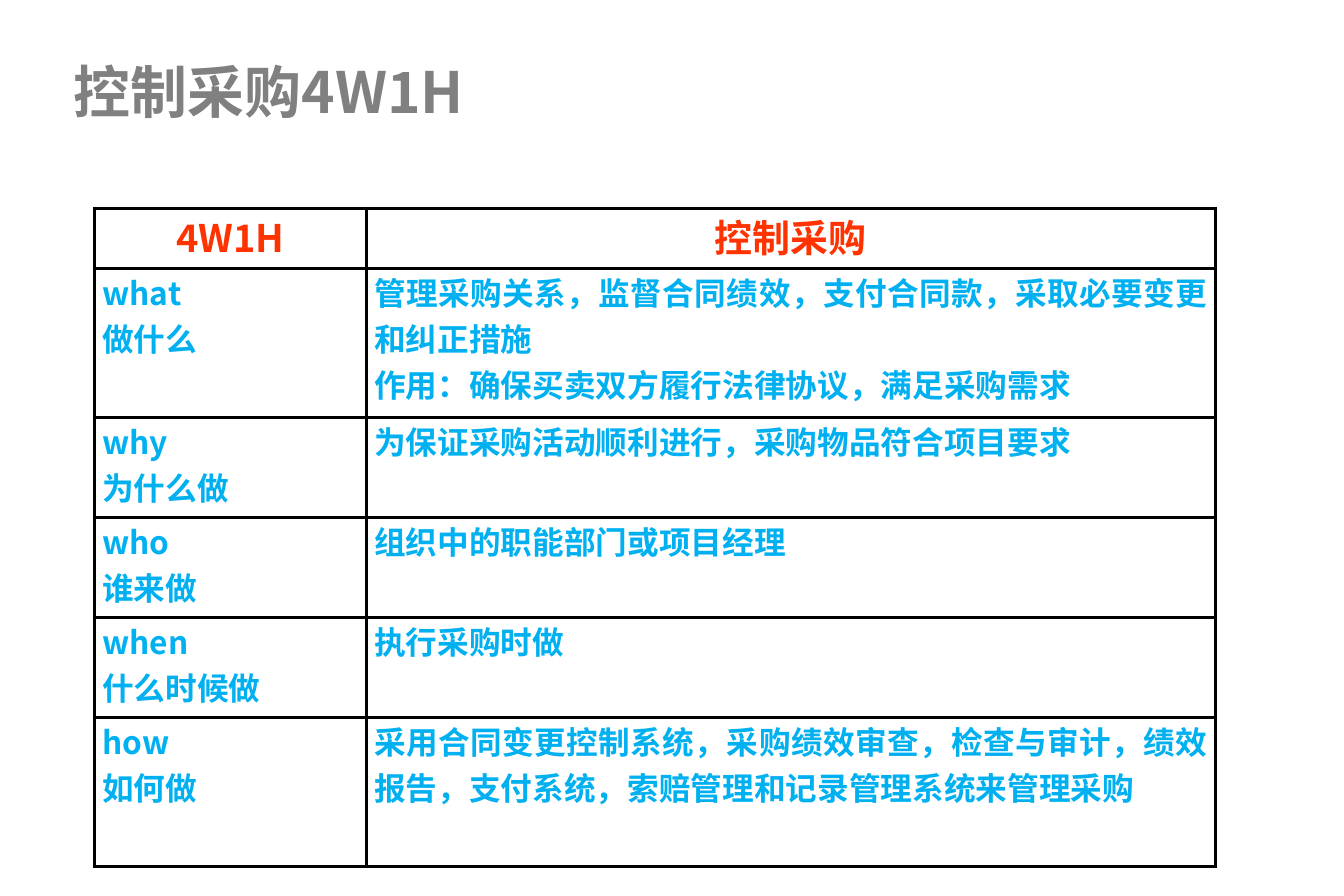
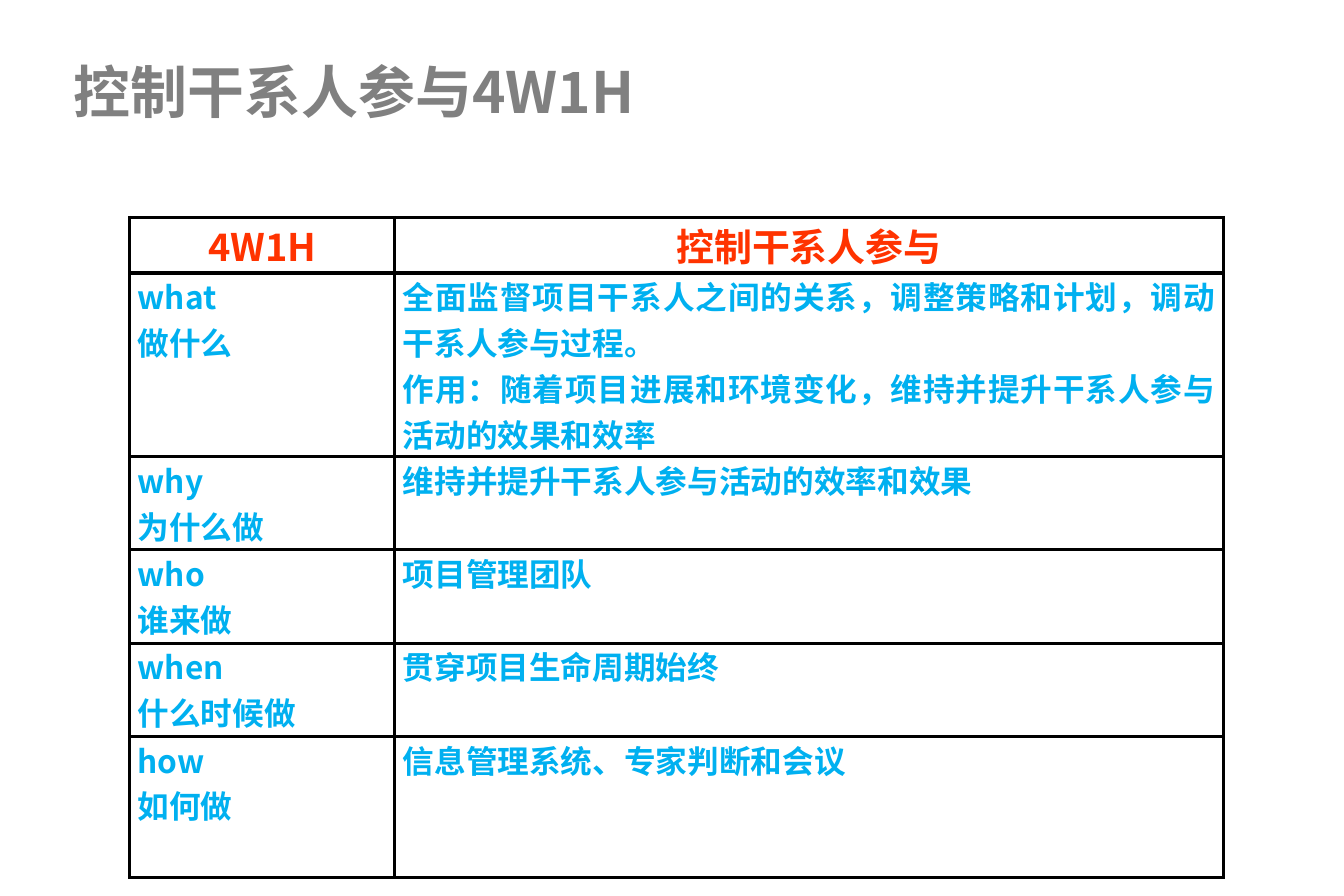
import pptx
import pptx.util
import pptx.dml.color
import pptx.enum.text
import pptx.oxml
import pptx.oxml.ns
from lxml import etree

Inches, Pt = pptx.util.Inches, pptx.util.Pt
ALIGN = pptx.enum.text.PP_ALIGN
ANCHOR = pptx.enum.text.MSO_ANCHOR

FONT = "Noto Sans CJK SC"
SLIDE_HEIGHT = 63 / 8
SLIDE_WIDTH = SLIDE_HEIGHT * 1.5
COLORS = {
    "title": "808080",
    "header": "FF3300",
    "body": "00B0F0",
    "cell": "FFFFFF",
    "border": "000000",
}
METHOD = "4W1H"
QUESTIONS = ["what\n做什么", "why\n为什么做", "who\n谁来做", "when\n什么时候做", "how\n如何做"]

TOPICS = [
    {
        "name": "控制采购",
        "at": (0.83, 1.83),
        "cols": [2.39, 7.46],
        "rows": [0.53, 1.31, 0.88, 0.88, 0.88, 1.31],
        "answers": [
            "管理采购关系，监督合同绩效，支付合同款，采取必要变更和纠正措施\n"
            "作用：确保买卖双方履行法律协议，满足采购需求",
            "为保证采购活动顺利进行，采购物品符合项目要求",
            "组织中的职能部门或项目经理",
            "执行采购时做",
            "采用合同变更控制系统，采购绩效审查，检查与审计，绩效报告，支付系统，索赔管理和记录管理系统来管理采购",
        ],
    },
    {
        "name": "控制干系人参与",
        "at": (1.14, 1.91),
        "cols": [2.33, 7.28],
        "rows": [0.49, 1.34, 0.82, 0.82, 0.82, 1.24],
        "answers": [
            "全面监督项目干系人之间的关系，调整策略和计划，调动干系人参与过程。\n"
            "作用：随着项目进展和环境变化，维持并提升干系人参与活动的效果和效率",
            "维持并提升干系人参与活动的效率和效果",
            "项目管理团队",
            "贯穿项目生命周期始终",
            "信息管理系统、专家判断和会议",
        ],
    },
]


def write_text(tf, text, size, color, align):
    """Fill a text frame, one paragraph per line, in the shared bold font."""
    tf.text = text
    for p in tf.paragraphs:
        p.alignment = align
        font = p.font
        font.size, font.bold, font.name = Pt(size), True, FONT
        font.color.rgb = pptx.dml.color.RGBColor.from_string(COLORS[color])
        # East Asian typeface
        props = p._p.pPr.find(pptx.oxml.ns.qn("a:defRPr"))
        etree.SubElement(props, pptx.oxml.ns.qn("a:ea"), typeface=FONT)


def add_title(s, text, left, top, width, height):
    title = s.shapes.title
    title.left, title.top = Inches(left), Inches(top)
    title.width, title.height = Inches(width), Inches(height)
    tf = title.text_frame
    tf.word_wrap = True
    tf.auto_size = pptx.enum.text.MSO_AUTO_SIZE.NONE
    tf.vertical_anchor = ANCHOR.MIDDLE
    tf.margin_left = tf.margin_right = Inches(0.11)
    tf.margin_top = tf.margin_bottom = Inches(0.06)
    write_text(tf, text, 36, "title", ALIGN.LEFT)


def style_cell(cell):
    cell.margin_left = cell.margin_right = Inches(0.07)
    cell.margin_top = cell.margin_bottom = 0
    cell.vertical_anchor = ANCHOR.TOP
    # Borders come before the fill
    for side in ("lnL", "lnR", "lnT", "lnB"):
        cell._tc.get_or_add_tcPr().append(pptx.oxml.parse_xml(
            f'<a:{side} {pptx.oxml.ns.nsdecls("a")} w="{Pt(2.25)}"><a:solidFill>'
            f'<a:srgbClr val="{COLORS["border"]}"/></a:solidFill></a:{side}>'))
    cell.fill.solid()
    cell.fill.fore_color.rgb = pptx.dml.color.RGBColor.from_string(COLORS["cell"])


def add_question_table(s, left, top, cols, rows, entries):
    table = s.shapes.add_table(
        len(rows), len(cols), Inches(left), Inches(top),
        Inches(sum(cols)), Inches(sum(rows))).table
    table.first_row = table.horz_banding = False
    for column, width in zip(table.columns, cols):
        column.width = Inches(width)
    for i, (row, height, texts) in enumerate(zip(table.rows, rows, entries)):
        row.height = Inches(height)
        look = (20, "body", ALIGN.JUSTIFY) if i else (24, "header", ALIGN.CENTER)
        for cell, text in zip(row.cells, texts):
            style_cell(cell)
            write_text(cell.text_frame, text, *look)


def add_topic_slide(prs, topic):
    s = prs.slides.add_slide(prs.slide_layouts[5])
    add_title(s, topic["name"] + METHOD, 0.54, 0.49, 10.63, 0.62)
    entries = [(METHOD, topic["name"]), *zip(QUESTIONS, topic["answers"])]
    add_question_table(s, *topic["at"], topic["cols"], topic["rows"], entries)


def main():
    prs = pptx.Presentation()
    prs.slide_width, prs.slide_height = Inches(SLIDE_WIDTH), Inches(SLIDE_HEIGHT)
    # The slide size is custom, not the 4:3 preset
    prs.element.find(pptx.oxml.ns.qn("p:sldSz")).attrib.pop("type", None)
    for topic in TOPICS:
        add_topic_slide(prs, topic)
    prs.save("out.pptx")


if __name__ == "__main__":
    main()
